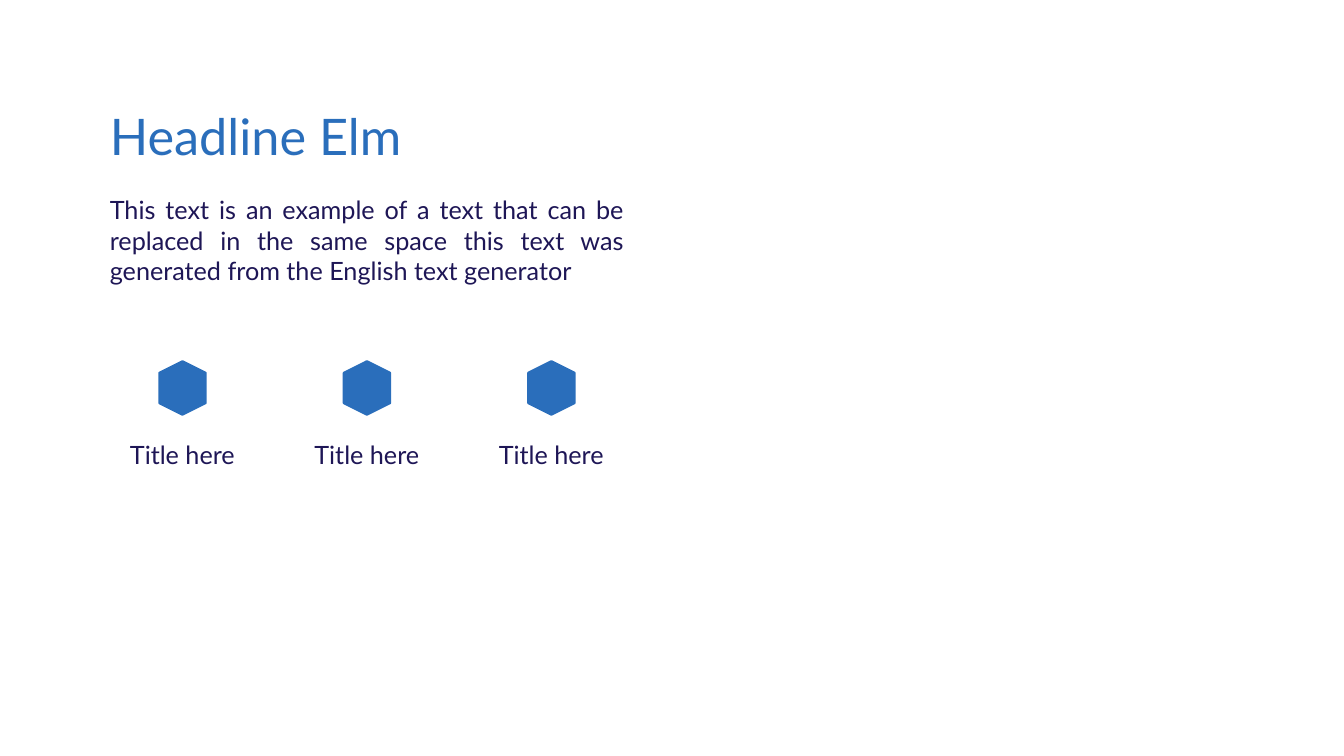
from dataclasses import dataclass

from pptx import Presentation
from pptx.dml.color import RGBColor
from pptx.enum import shapes, text
from pptx.util import Pt

BLUE = "2A6EBB"
NAVY = "1E1656"
FONT = "Lato"
LEFT = 78.5
BODY_WIDTH = 367.2
LABEL_WIDTH = 103.7
HEX_WIDTH, HEX_HEIGHT = 38.2, 33.1
TITLES = ["Title here", "Title here", "Title here"]


@dataclass
class Feature:
    title: str
    left: float


def color(value: str) -> RGBColor:
    return RGBColor.from_string(value)


def add_text(s, content: str, left: float, top: float, width: float, height: float, *,
             size: float = 18, fill: str = NAVY, align=text.PP_ALIGN.LEFT):
    sp = s.shapes.add_textbox(Pt(left), Pt(top), Pt(width), Pt(height))
    tf = sp.text_frame
    tf.margin_left = tf.margin_top = tf.margin_right = tf.margin_bottom = 0
    tf.word_wrap = True
    tf.auto_size = text.MSO_AUTO_SIZE.SHAPE_TO_FIT_TEXT
    p = tf.paragraphs[0]
    p.alignment = align
    r = p.add_run()
    r.text = content
    r.font.name = FONT
    r.font.size = Pt(size)
    r.font.color.rgb = color(fill)
    return sp


def add_feature(s, feature: Feature) -> None:
    hex_left = feature.left + (LABEL_WIDTH - HEX_WIDTH) / 2
    sp = s.shapes.add_shape(shapes.MSO_SHAPE.HEXAGON, Pt(hex_left), Pt(260.6),
                            Pt(HEX_WIDTH), Pt(HEX_HEIGHT))
    sp.rotation = 90
    sp.shadow.inherit = False
    sp.fill.solid()
    sp.fill.fore_color.rgb = color(BLUE)
    sp.line.color.rgb = color(BLUE)
    sp.line.width = Pt(1.5)
    add_text(s, feature.title, feature.left, 313.9, LABEL_WIDTH, 21.6,
             align=text.PP_ALIGN.CENTER)


def main() -> None:
    prs = Presentation()
    prs.slide_width, prs.slide_height = Pt(960), Pt(540)
    s = prs.slides.add_slide(prs.slide_layouts[6])
    add_text(s, "Headline Elm", LEFT, 74.9, 332.6, 43.9, size=36, fill=BLUE)
    add_text(s, "This text is an example of a text that can be replaced in the same space "
                "this text was generated from the English text generator",
             LEFT, 139, BODY_WIDTH, 65.5, align=text.PP_ALIGN.JUSTIFY)
    pitch = (BODY_WIDTH - LABEL_WIDTH) / (len(TITLES) - 1)
    for i, title in enumerate(TITLES):
        add_feature(s, Feature(title, LEFT + i * pitch))
    prs.save("out.pptx")


if __name__ == "__main__":
    main()
